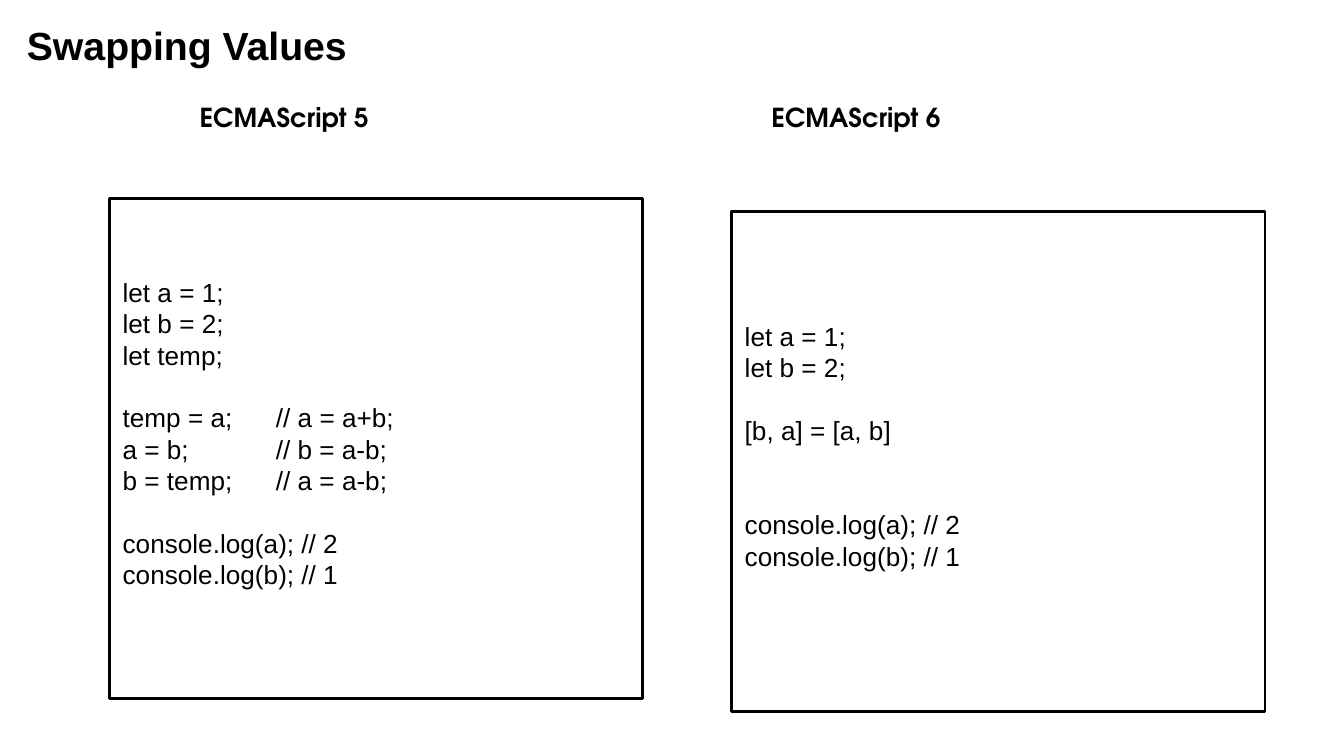
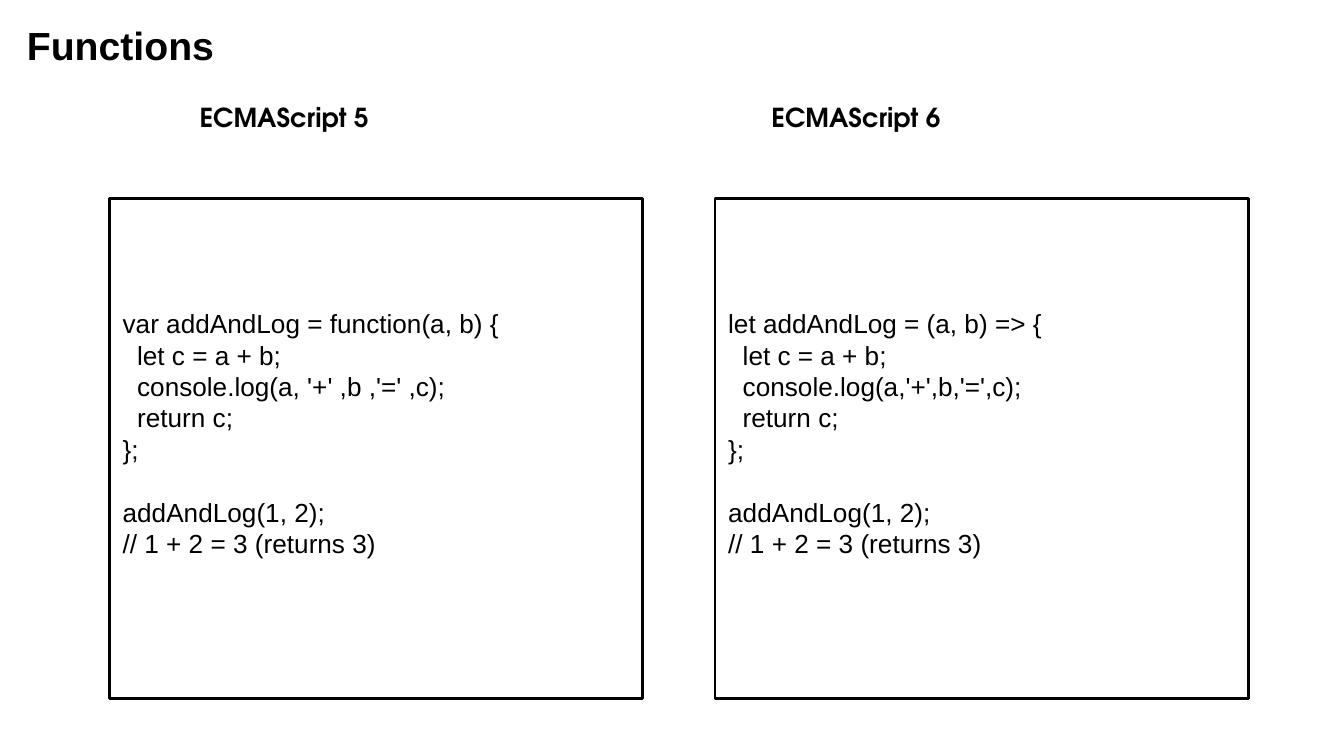
"""Builds two slides that compare ECMAScript 5 and ECMAScript 6 code."""
from pptx import Presentation
from pptx import util as u
from pptx.dml.color import RGBColor
from pptx.enum import shapes, text

BLACK = RGBColor(0, 0, 0)
WHITE = RGBColor(255, 255, 255)
CODE_FONT = "Arial"
HEADING_FONT = "TeX Gyre Adventor"
UNIT = u.Inches(0.1)
LINE = u.Pt(16.8)

SWAP_OLD = """let a = 1;
let b = 2;
let temp;

temp = a;      // a = a+b;
a = b;            // b = a-b;
b = temp;      // a = a-b;

console.log(a); // 2
console.log(b); // 1"""

SWAP_NEW = """let a = 1;
let b = 2;

[b, a] = [a, b]


console.log(a); // 2
console.log(b); // 1"""

FUNCTION_OLD = """var addAndLog = function(a, b) {
  let c = a + b;
  console.log(a, '+' ,b ,'=' ,c);
  return c;
};

addAndLog(1, 2);
// 1 + 2 = 3 (returns 3)"""

FUNCTION_NEW = """let addAndLog = (a, b) => {
  let c = a + b;
  console.log(a,'+',b,'=',c);
  return c;
};

addAndLog(1, 2);
// 1 + 2 = 3 (returns 3)"""


def write(box, content, size=14, font=CODE_FONT, bold=False, spacing=1.0,
          align=text.PP_ALIGN.LEFT, anchor=text.MSO_ANCHOR.TOP,
          margin=0, indent=0):
    """Fill a box with lines; empty lines become space before the next one."""
    frame = box.text_frame
    frame.auto_size = text.MSO_AUTO_SIZE.NONE
    frame.word_wrap = True
    frame.vertical_anchor = anchor
    frame.margin_left = frame.margin_right = UNIT
    frame.margin_top = frame.margin_bottom = UNIT
    para, blanks = None, 0
    for line in content.split("\n"):
        if not line:
            blanks += 1
            continue
        para = frame.add_paragraph() if para else frame.paragraphs[0]
        para.alignment = align
        para.line_spacing = spacing
        para.space_before = blanks * LINE
        para.space_after = u.Pt(0)
        properties = para._p.get_or_add_pPr()
        properties.set("marL", str(margin))
        properties.set("indent", str(indent))
        span = para.add_run()
        span.text = line
        span.font.size = u.Pt(size)
        span.font.name = font
        span.font.bold = bold
        span.font.color.rgb = BLACK
        blanks = 0


class Comparison:
    """Holds the deck, its grid and the current slide."""

    def __init__(self):
        self.deck = Presentation()
        self.deck.slide_width = u.Inches(10)
        self.deck.slide_height = self.deck.slide_width * 9 // 16
        self.page = None

    def grid(self, *cells):
        return [round(cell * UNIT) for cell in cells]

    def place(self, box, *cells):
        box.left, box.top, box.width, box.height = self.grid(*cells)

    def add_page(self, title, width):
        self.page = self.deck.slides.add_slide(self.deck.slide_layouts[4])
        fill = self.page.background.fill
        fill.solid()
        fill.fore_color.rgb = WHITE
        box = self.page.shapes.title
        self.place(box, 1, 0.6, width, 6.3)
        write(box, title, size=21, bold=True)
        self.add_heading(1, "ECMAScript 5", 5.3)
        self.add_heading(3, "ECMAScript 6", 47.85)
        for box in list(self.page.placeholders):
            if not box.text_frame.text:
                box._element.getparent().remove(box._element)

    def add_heading(self, index, heading, left):
        box = self.page.placeholders[index]
        self.place(box, left, 6.8, 30.8, 3.7)
        write(box, heading, font=HEADING_FONT, bold=True, spacing=0.9,
              align=text.PP_ALIGN.CENTER,
              margin=u.Inches(0.19), indent=u.Inches(-0.1))

    def add_code(self, code, left, top=14.8):
        box = self.page.shapes.add_shape(
            shapes.MSO_SHAPE.RECTANGLE, *self.grid(left, top, 39.7, 37.2))
        box.shadow.inherit = False
        box.fill.background()
        box.line.color.rgb = BLACK
        box.line.width = u.Pt(1.5)
        write(box, code, spacing=LINE, anchor=text.MSO_ANCHOR.MIDDLE)
        box.text_frame.margin_bottom = UNIT + LINE


def main():
    show = Comparison()
    show.add_page("Swapping Values", 93.2)
    show.add_code(SWAP_OLD, 8.14)
    show.add_code(SWAP_NEW, 54.43, 15.74)
    show.add_page("Functions", 98.6)
    show.add_code(FUNCTION_OLD, 8.14)
    show.add_code(FUNCTION_NEW, 53.2)
    show.deck.save("out.pptx")


if __name__ == "__main__":
    main()
